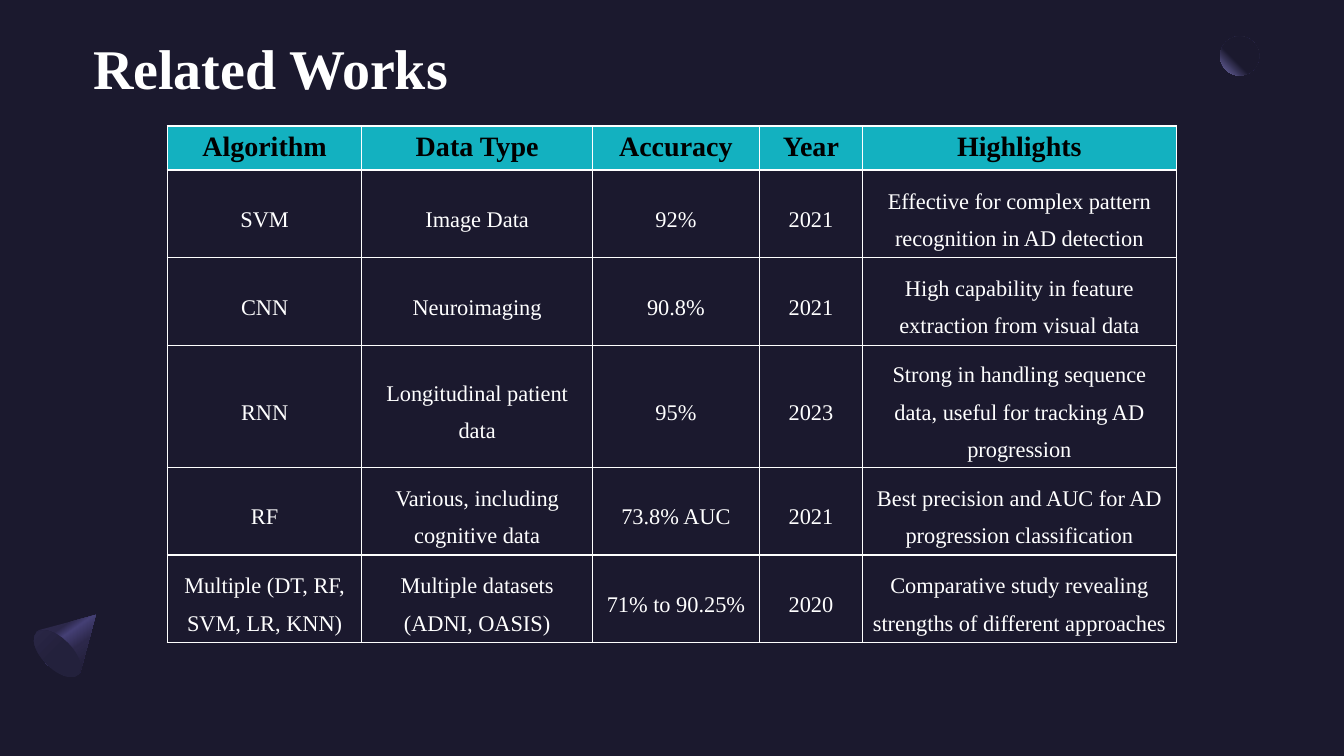
"""Build the Related Works slide: a comparison table with gradient ornaments."""
from pptx import Presentation
from pptx.dml.color import RGBColor
from pptx.enum.shapes import MSO_SHAPE
from pptx.enum.text import MSO_ANCHOR, PP_ALIGN
from pptx.oxml import parse_xml
from pptx.oxml.ns import nsdecls
from pptx.util import Pt

OVAL = MSO_SHAPE.OVAL
MIDDLE, TOP = MSO_ANCHOR.MIDDLE, MSO_ANCHOR.TOP
LEFT, CENTER = PP_ALIGN.LEFT, PP_ALIGN.CENTER
NIGHT, TEAL, WHITE, BLACK = "1B192E", "13B1C0", "FFFFFF", "000000"
SERIF = "Times New Roman"


def format_text(frame, size, color, bold, **layout):
    paragraph = frame.paragraphs[0]
    for name, value in layout.items():
        setattr(paragraph, name, value)
    font = paragraph.runs[0].font
    for name, value in {"name": SERIF, "size": Pt(size), "bold": bold}.items():
        setattr(font, name, value)
    font.color.rgb = RGBColor.from_string(color)


def paint_gradient(ornament, stops, direction):
    ornament.shadow.inherit = False
    ornament.line.fill.background()
    ornament.fill.background()
    stop_xml = "".join(
        f'<a:gs pos="{position * 1000}"><a:srgbClr val="{color}"/></a:gs>'
        for position, color in stops)
    gradient = parse_xml(f'<a:gradFill {nsdecls("a")} rotWithShape="1">'
                         f'<a:gsLst>{stop_xml}</a:gsLst>{direction}</a:gradFill>')
    properties = ornament._element.spPr
    properties.replace(properties.find(
        "{http://schemas.openxmlformats.org/drawingml/2006/main}noFill"), gradient)


deck = Presentation()
deck.slide_width, deck.slide_height = Pt(960), Pt(540)
slide = deck.slides.add_slide(deck.slide_layouts[5])
slide.background.fill.solid()
slide.background.fill.fore_color.rgb = RGBColor.from_string(NIGHT)
shapes = slide.shapes

moon = shapes.add_shape(OVAL, Pt(871.5), Pt(26), Pt(28), Pt(28))
paint_gradient(moon, [(60, NIGHT), (100, "7771B2")],
               '<a:path path="circle"><a:fillToRect l="100000" b="100000"/></a:path>')

cone_outline = [(57.6, 479.5), (56.2, 481.7), (46.3, 482.7), (33.1, 474.5),
                (24.9, 461.3), (25.9, 451.4), (28.1, 450)]
builder = shapes.build_freeform(Pt(68.4), Pt(439.2), scale=1)
builder.add_line_segments([(Pt(x), Pt(y)) for x, y in cone_outline], close=True)
cone = builder.convert_to_shape()
paint_gradient(cone, [(30, "2C284A"), (40, "454075"), (60, "2C284A"), (100, NIGHT)],
               f'<a:lin ang="{55 * 60000}" scaled="0"/>')

cone_base = shapes.add_shape(OVAL, Pt(30.2), Pt(445.7), Pt(21.6), Pt(42.5))
cone_base.rotation = 135
paint_gradient(cone_base, [(50, "23213C"), (100, "2C284A")],
               f'<a:lin ang="{90 * 60000}" scaled="0"/>')

heading = shapes.title
heading.left, heading.top, heading.width, heading.height = Pt(66.5), Pt(21.5), Pt(630), Pt(59)
heading_frame = heading.text_frame
heading_frame.text = "Related Works"
for name, value in {"margin_left": 0, "margin_right": 0, "margin_top": 0,
                    "margin_bottom": 0, "vertical_anchor": MIDDLE}.items():
    setattr(heading_frame, name, value)
format_text(heading_frame, 40, WHITE, True, alignment=LEFT, line_spacing=0.9)

studies = [
    ("Algorithm", "Data Type", "Accuracy", "Year", "Highlights"),
    ("SVM", "Image Data", "92%", "2021",
     "Effective for complex pattern recognition in AD detection"),
    ("CNN", "Neuroimaging", "90.8%", "2021",
     "High capability in feature extraction from visual data"),
    ("RNN", "Longitudinal patient data", "95%", "2023",
     "Strong in handling sequence data, useful for tracking AD progression"),
    ("RF", "Various, including cognitive data", "73.8% AUC", "2021",
     "Best precision and AUC for AD progression classification"),
    ("Multiple (DT, RF, SVM, LR, KNN)", "Multiple datasets (ADNI, OASIS)",
     "71% to 90.25%", "2020",
     "Comparative study revealing strengths of different approaches"),
]
column_widths = [139, 164.7, 119.3, 73.6, 224.2]
row_heights = [31.5, 62.6, 62.6, 87, 62.6, 62.6]
comparison = shapes.add_table(len(studies), len(column_widths), Pt(119.5), Pt(90),
                              Pt(sum(column_widths)), Pt(sum(row_heights))).table
comparison.first_row = comparison.horz_banding = False
for column, width in zip(comparison.columns, column_widths):
    column.width = Pt(width)

for row_index, (study, height) in enumerate(zip(studies, row_heights)):
    comparison.rows[row_index].height = Pt(height)
    for column_index, entry in enumerate(study):
        cell = comparison.cell(row_index, column_index)
        cell.text = entry
        if row_index == 0:
            cell.vertical_anchor = TOP
            cell.fill.solid()
            cell.fill.fore_color.rgb = RGBColor.from_string(TEAL)
            format_text(cell.text_frame, 20, BLACK, True, alignment=CENTER)
        else:
            cell.vertical_anchor = MIDDLE
            cell.fill.background()
            format_text(cell.text_frame, 16, WHITE, False,
                        alignment=CENTER, line_spacing=1.5)
        for position, side in enumerate("LRTB"):
            cell._tc.tcPr.insert(position, parse_xml(
                f'<a:ln{side} {nsdecls("a")} w="{Pt(1)}"><a:solidFill>'
                f'<a:srgbClr val="{WHITE}"/></a:solidFill></a:ln{side}>'))

deck.save("out.pptx")
